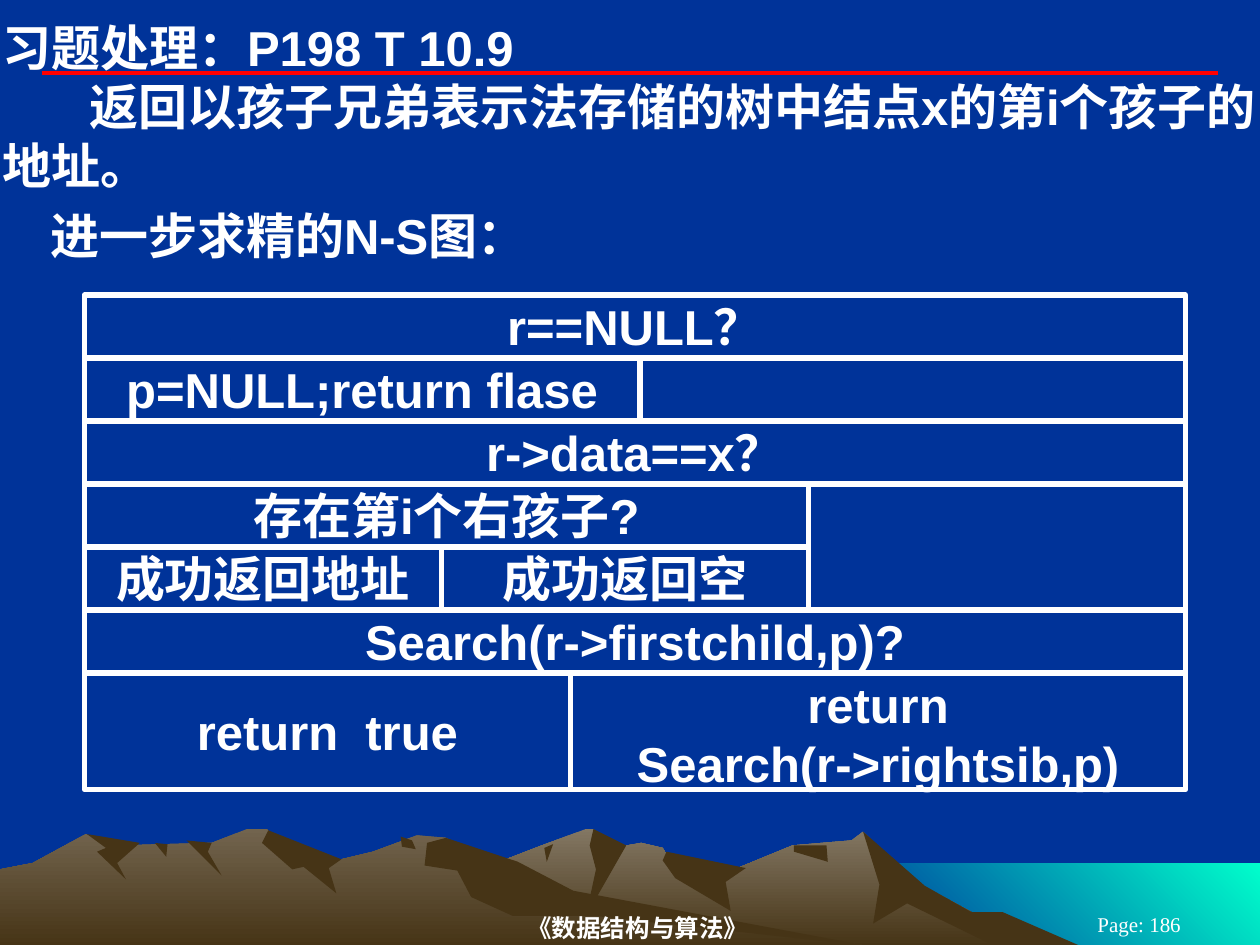
from pptx import Presentation
from pptx.dml.color import RGBColor
from pptx.enum.shapes import MSO_CONNECTOR, MSO_SHAPE
from pptx.enum.text import MSO_ANCHOR, PP_ALIGN
from pptx.oxml.ns import qn
from pptx.util import Cm, Pt
from lxml.etree import SubElement


def paint(fill, *colors, angle=0):
    if len(colors) == 1:
        fill.solid()
        fill.fore_color.rgb = RGBColor.from_string(colors[0])
        return
    fill.gradient()
    fill.gradient_angle = angle
    for stop, color in zip(fill.gradient_stops, colors):
        stop.color.rgb = RGBColor.from_string(color)


def write(frame, text, size=28, font="Arial", bold=True, align=PP_ALIGN.CENTER,
          anchor=MSO_ANCHOR.TOP, inset=0.05, indents=()):
    frame.word_wrap = True
    frame.vertical_anchor = anchor
    frame.margin_left = frame.margin_right = Cm(inset)
    frame.margin_top = frame.margin_bottom = Cm(inset / 2)
    frame.text = text
    for paragraph in frame.paragraphs:
        paragraph.alignment = align
        paragraph.font.size = Pt(size)
        paragraph.font.name = font
        paragraph.font.bold = bold
        paint(paragraph.font.fill, "FFFFFF")
    for paragraph, indent in zip(frame.paragraphs, indents):
        paragraph._p.get_or_add_pPr().set("indent", str(Cm(indent)))


deck = Presentation()
deck.slide_width, deck.slide_height = Cm(25.4), Cm(19.05)
slide = deck.slides.add_slide(deck.slide_layouts[6])
paint(slide.background.fill, "003399")
shapes = slide.shapes

SHADE = ["463416"]
FAR_RIDGE = ["837763", "463416"]
NEAR_RIDGE = ["72644E", "463416"]
SEA = ["00FFCC", "003399"]
landscape = [
    (SEA, 225, [(1000, 752), (683, 752), (683, 685), (1000, 685)]),
    (FAR_RIDGE, 270, [
        (821, 751), (723, 698), (685, 660), (676, 667), (629, 671), (566, 697), (536, 690),
        (526, 673), (509, 669), (486, 673), (471, 658), (465, 658), (430, 671), (394, 685),
        (327, 709), (258, 751)]),
    (SHADE, 0, [
        (796, 724), (771, 724), (734, 703), (685, 660), (698, 702), (693, 733), (720, 717),
        (792, 752), (858, 751)]),
    (SHADE, 0, [(471, 658), (468, 671), (473, 690), (465, 727), (497, 671)]),
    (SHADE, 0, [(529, 676), (526, 683), (536, 697), (580, 723), (576, 700), (592, 689)]),
    (SHADE, 0, [(630, 671), (630, 676), (657, 684), (656, 671)]),
    (SHADE, 0, [(432, 673), (439, 670), (434, 684)]),
    (NEAR_RIDGE, 270, [
        (690, 751), (432, 712), (354, 665), (331, 663), (296, 676), (271, 682), (236, 681),
        (212, 658), (196, 658), (168, 669), (94, 671), (68, 662), (26, 685), (0, 690),
        (0, 751)]),
    (SHADE, 0, [
        (213, 659), (208, 669), (232, 690), (241, 688), (267, 709), (261, 689), (271, 682)]),
    (SHADE, 0, [
        (354, 665), (339, 669), (337, 687), (363, 691), (374, 712), (407, 727), (472, 727),
        (690, 751), (455, 707), (411, 684)]),
    (SHADE, 0, [(318, 664), (327, 667), (330, 674), (319, 672)]),
    (SHADE, 0, [(148, 667), (168, 669), (165, 676), (176, 695)]),
    (SHADE, 0, [(123, 669), (133, 670), (132, 680)]),
    (SHADE, 0, [(69, 662), (111, 669), (93, 685), (100, 698), (77, 676), (84, 673)]),
]
for colors, angle, outline in landscape:
    builder = shapes.build_freeform(*outline[0], scale=Cm(2.54) / 100)
    builder.add_line_segments(outline[1:], close=True)
    terrain = builder.convert_to_shape()
    terrain.shadow.inherit = False
    paint(terrain.fill, *colors, angle=angle)
    terrain.line.fill.background()

title_rule = shapes.add_connector(MSO_CONNECTOR.STRAIGHT, Cm(0.84), Cm(1.47), Cm(24.56), Cm(1.47))
title_rule.line.width = Pt(2.25)
paint(title_rule.line.fill, "FF0000")
SubElement(title_rule._element.spPr, qn("a:effectLst"))

footer = dict(font="Times New Roman", anchor=MSO_ANCHOR.MIDDLE)
exercise = ("习题处理：P198 T 10.9\n"
            "返回以孩子兄弟表示法存储的树中结点x的第i个孩子的地址。")
captions = [
    ((5.16, 18.34, 15.4, 0.71), "《数据结构与算法》", dict(footer, size=14, inset=0)),
    ((20.96, 18.42, 4.01, 0.43), "Page: 186", dict(footer, size=12, bold=False, inset=0.25)),
    ((0, 0.33, 25.4, 3.61), exercise, dict(align=PP_ALIGN.LEFT, indents=(0, 1.75))),
    ((0, 4.11, 25.4, 1.24), "进一步求精的N-S图：", dict(align=PP_ALIGN.LEFT, indents=(0.97,))),
]
for place, text, style in captions:
    caption = shapes.add_textbox(*map(Cm, place))
    write(caption.text_frame, text, **style)

LEFT, TOP, FULL, ROW = 1.7, 5.95, 22.2, 1.27
chart_rows = [
    [("r==NULL？", FULL, 1)],
    [("p=NULL;return flase", 11.2, 1), ("", 11, 1)],
    [("r->data==x？", FULL, 1)],
    [("存在第i个右孩子?", 14.6, 1), ("", 7.6, 2)],
    [("成功返回地址", 7.2, 1), ("成功返回空", 7.4, 1)],
    [("Search(r->firstchild,p)?", FULL, 1)],
    [("return  true", 9.8, 1.85), ("return\nSearch(r->rightsib,p)", 12.4, 1.85)],
]
for row, steps in enumerate(chart_rows):
    left = LEFT
    for text, width, span in steps:
        step = shapes.add_shape(MSO_SHAPE.RECTANGLE, Cm(left), Cm(TOP + row * ROW),
                                Cm(width), Cm(span * ROW))
        step.shadow.inherit = False
        step.fill.background()
        step.line.width = Pt(3)
        paint(step.line.fill, "FFFFFF")
        if text:
            middle = text == "return  true"
            write(step.text_frame, text, anchor=MSO_ANCHOR.MIDDLE if middle else MSO_ANCHOR.TOP)
        left += width

deck.save("out.pptx")
